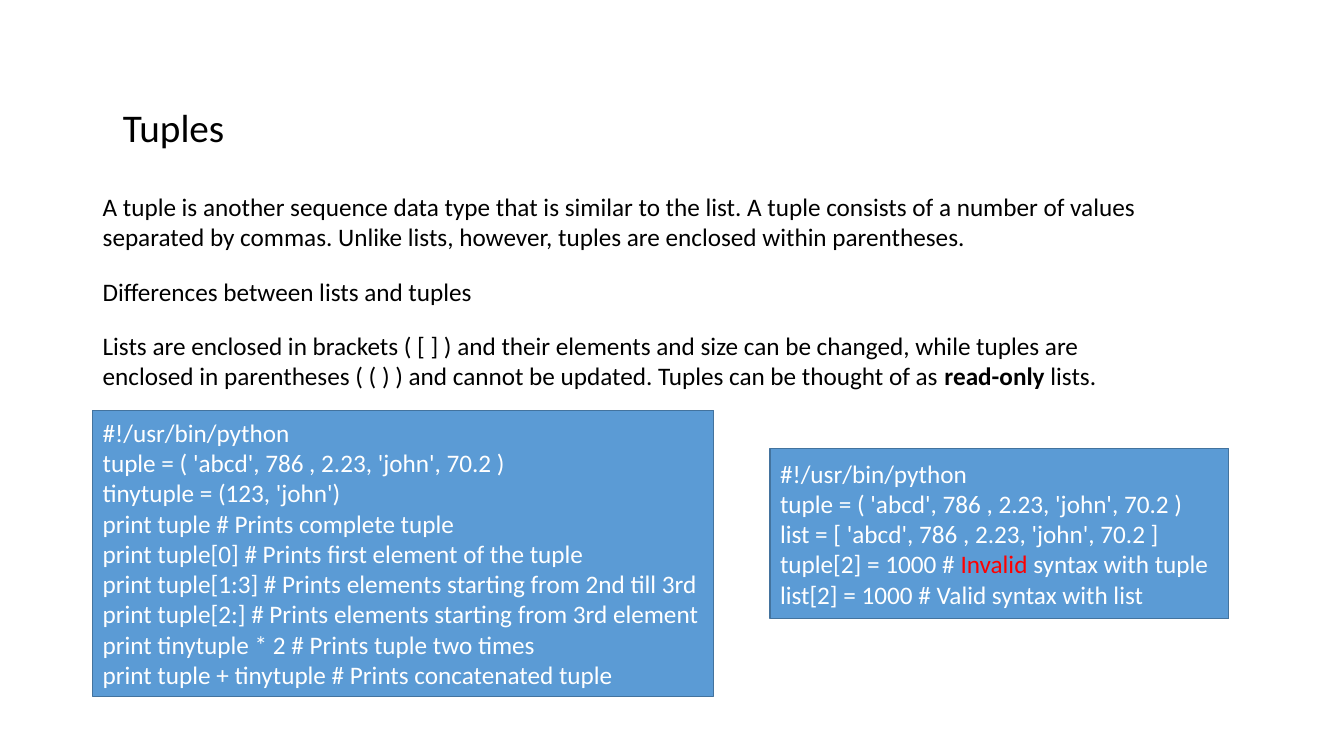
from dataclasses import dataclass

from pptx import Presentation
from pptx import util as u
from pptx.dml.color import RGBColor
from pptx.enum import shapes, text


@dataclass(frozen=True)
class Theme:
    font: str = "Calibri"
    head: int = 28
    body: int = 18
    ink: str = "000000"
    pale: str = "FFFFFF"
    alert: str = "FF0000"
    fill: str = "5B9BD5"
    edge: str = "43739E"


T = Theme()
WIDE, HIGH = u.Inches(13.33), u.Inches(7.5)
LEFT = 6.9  # shared left edge, in percent of the slide's width
GAP = 1.8   # space between prose blocks, in percent of the slide's height

PROSE = [
    (79.8, 9.47, True, [
        ("A tuple is another sequence data type that is similar to the list. "
         "A tuple consists of a number of values separated by commas. "
         "Unlike lists, however, tuples are enclosed within parentheses.", False)]),
    (29.18, 5.33, False, [("Differences between lists and tuples", False)]),
    (78.24, 9.47, True, [
        ("Lists are enclosed in brackets ( [ ] ) and their elements and size "
         "can be changed, while tuples are enclosed in parentheses ( ( ) ) and "
         "cannot be updated. Tuples can be thought of as ", False),
        ("read-only", True),
        (" lists.", False)]),
]

START = [
    [("#!/usr/bin/python", T.pale)],
    [("tuple = ( 'abcd', 786 , 2.23, 'john', 70.2 )", T.pale)],
]
PRINTS = START + [[(line, T.pale)] for line in (
    "tinytuple = (123, 'john')",
    "print tuple # Prints complete tuple",
    "print tuple[0] # Prints first element of the tuple",
    "print tuple[1:3] # Prints elements starting from 2nd till 3rd",
    "print tuple[2:] # Prints elements starting from 3rd element "
    "print tinytuple * 2 # Prints tuple two times",
    "print tuple + tinytuple # Prints concatenated tuple",
)]
UPDATES = START + [
    [("list = [ 'abcd', 786 , 2.23, 'john', 70.2 ]", T.pale)],
    [("tuple[2] = 1000 # ", T.pale), ("Invalid", T.alert),
     (" syntax with tuple", T.pale)],
    [("list[2] = 1000 # Valid syntax with list", T.pale)],
]


def place(x, y, w, h):
    """Turn percentages of the slide into lengths."""
    return [u.Emu(round(part * full / 100))
            for part, full in zip((x, y, w, h), (WIDE, HIGH, WIDE, HIGH))]


def write(para, words, size, color, bold=False):
    run = para.add_run()
    run.text = words
    run.font.name = T.font
    run.font.size = u.Pt(size)
    run.font.bold = bold
    run.font.color.rgb = RGBColor.from_string(color)


def note(slide, box, parts, size, wrap):
    """Add a text box whose parts are (words, bold) pairs."""
    frame = slide.shapes.add_textbox(*place(*box)).text_frame
    frame.word_wrap = wrap
    frame.auto_size = text.MSO_AUTO_SIZE.SHAPE_TO_FIT_TEXT
    for words, bold in parts:
        write(frame.paragraphs[0], words, size, T.ink, bold)


def prose(slide, x, y):
    for w, h, wrap, parts in PROSE:
        note(slide, (x, y, w, h), parts, T.body, wrap)
        y += h + GAP


def code(slide, box, lines):
    """Add a filled panel whose lines hold (words, color) pairs."""
    panel = slide.shapes.add_shape(shapes.MSO_SHAPE.RECTANGLE, *place(*box))
    panel.shadow.inherit = False
    panel.fill.solid()
    panel.fill.fore_color.rgb = RGBColor.from_string(T.fill)
    panel.line.color.rgb = RGBColor.from_string(T.edge)
    panel.line.width = u.Pt(1)
    frame = panel.text_frame
    frame.word_wrap = True
    frame.vertical_anchor = text.MSO_ANCHOR.MIDDLE
    for i, line in enumerate(lines):
        para = frame.add_paragraph() if i else frame.paragraphs[0]
        para.alignment = text.PP_ALIGN.LEFT
        for words, color in line:
            write(para, words, T.body, color)


def main():
    deck = Presentation()
    deck.slide_width, deck.slide_height = WIDE, HIGH
    slide = deck.slides.add_slide(deck.slide_layouts[6])
    note(slide, (8.4, 13.07, 9.15, 7.6), [("Tuples", False)], T.head, False)
    prose(slide, LEFT, 24.67)
    code(slide, (LEFT, 54.27, 46.2, 37.87), PRINTS)
    code(slide, (57.3, 59.33, 34.13, 22.53), UPDATES)
    deck.save("out.pptx")


if __name__ == "__main__":
    main()
